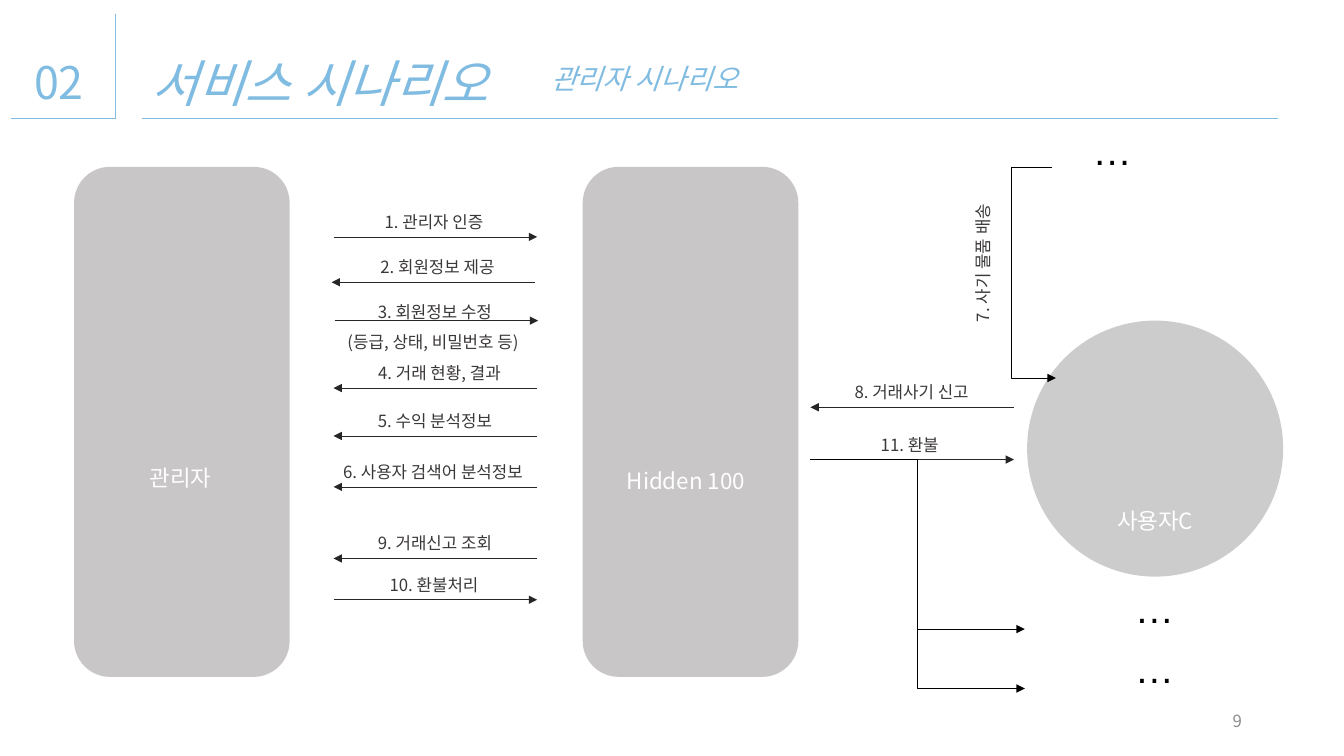
from lxml import etree
from pptx import Presentation
from pptx.dml.color import RGBColor
from pptx.enum.shapes import MSO_CONNECTOR, MSO_SHAPE
from pptx.enum.text import MSO_ANCHOR, MSO_AUTO_SIZE, PP_ALIGN
from pptx.oxml.ns import qn
from pptx.util import Pt

STRAIGHT, ELBOW = MSO_CONNECTOR.STRAIGHT, MSO_CONNECTOR.ELBOW
ROUNDED, OVAL = MSO_SHAPE.ROUNDED_RECTANGLE, MSO_SHAPE.OVAL
LEFT, CENTER, RIGHT = PP_ALIGN.LEFT, PP_ALIGN.CENTER, PP_ALIGN.RIGHT
TOP, MIDDLE = MSO_ANCHOR.TOP, MSO_ANCHOR.MIDDLE
FIT_TEXT, FIXED = MSO_AUTO_SIZE.SHAPE_TO_FIT_TEXT, MSO_AUTO_SIZE.NONE

SKY = RGBColor(0x80, 0xBC, 0xE1)
PANEL = RGBColor(0xC8, 0xC6, 0xC6)
GRAY = RGBColor(0x80, 0x80, 0x80)
PAGE_GRAY = RGBColor(0x8C, 0x8C, 0x8C)
INK = RGBColor(0x3B, 0x38, 0x38)
ARROW = RGBColor(0x26, 0x26, 0x26)
BLACK = RGBColor(0, 0, 0)
WHITE = RGBColor(0xFF, 0xFF, 0xFF)
KOREAN, LATIN = "Noto Sans CJK KR", "Arial"

ARROW_LENGTH = 145.4
LABEL_HEIGHT = 21.6
ADMIN_LEFT, USER_LEFT = 238.3, 578.9

# Message, left end and height of its arrow, points right, label centre, label width
MESSAGES = [
    ("1. 관리자 인증", ADMIN_LEFT, 169.2, True, 310, 180.7),
    ("2. 회원정보 제공", 236.9, 201.6, False, 312.5, 154),
    ("4. 거래 현황, 결과", ADMIN_LEFT, 277.2, False, 313.9, 154),
    ("5. 수익 분석정보", ADMIN_LEFT, 311.4, False, 310.7, 160.6),
    ("6. 사용자 검색어 분석정보 ", ADMIN_LEFT, 347.8, False, 310.7, 160.6),
    ("9. 거래신고 조회", ADMIN_LEFT, 398.9, False, 310.7, 160.6),
    ("10. 환불처리", ADMIN_LEFT, 428.4, True, 310, 180.7),
    ("8. 거래사기 신고", USER_LEFT, 290.9, False, 651.2, 160.6),
    ("11. 환불", USER_LEFT, 328.3, True, 649.8, 160.6),
]


def add_text(slide, text, left, top, width, height, *, size=12, color=INK,
             font=KOREAN, align=CENTER, anchor=TOP, spacing=None, italic=None,
             wrap=True, fit=FIT_TEXT, upward=False):
    box = slide.shapes.add_textbox(Pt(left), Pt(top), Pt(width), Pt(height))
    frame = box.text_frame
    frame.word_wrap = wrap
    frame.auto_size = fit
    frame.vertical_anchor = anchor
    if upward:
        frame._txBody.bodyPr.set("vert", "vert270")
    frame.text = text
    for paragraph in frame.paragraphs:
        paragraph.alignment = align
        if spacing:
            paragraph.line_spacing = spacing
        for run in paragraph.runs:
            run.font.size = Pt(size)
            run.font.name = font
            run.font.italic = italic
            run.font.color.rgb = color
            east_asian = etree.SubElement(run.font._element, qn("a:ea"))
            east_asian.set("typeface", font)


def add_actor(slide, kind, left, top, width, height, color, opacity=None):
    actor = slide.shapes.add_shape(kind, Pt(left), Pt(top), Pt(width), Pt(height))
    actor.shadow.inherit = False
    actor.fill.solid()
    actor.fill.fore_color.rgb = color
    actor.line.fill.background()
    if opacity:
        fill_color = actor._element.spPr.find(".//" + qn("a:srgbClr"))
        etree.SubElement(fill_color, qn("a:alpha")).set("val", str(opacity * 1000))


def add_line(slide, x1, y1, x2, y2, color, *, arrow=True, kind=STRAIGHT, bend_x=None):
    line = slide.shapes.add_connector(kind, Pt(x1), Pt(y1), Pt(x2), Pt(y2))
    line.line.color.rgb = color
    line.line.width = Pt(0.5)
    properties = line._element.spPr
    if arrow:
        etree.SubElement(line.line._get_or_add_ln(), qn("a:tailEnd")).set("type", "triangle")
    etree.SubElement(properties, qn("a:effectLst"))
    if bend_x is not None:
        share = round((bend_x - x1) / (x2 - x1) * 100000)
        guides = properties.find(".//" + qn("a:avLst"))
        guide = etree.SubElement(guides, qn("a:gd"))
        guide.set("name", "adj1")
        guide.set("fmla", f"val {share}")


def add_message(slide, text, left, y, to_right, label_center, label_width):
    ends = (left, left + ARROW_LENGTH)
    start, end = ends if to_right else ends[::-1]
    add_line(slide, start, y, end, y, ARROW)
    add_text(slide, text, label_center - label_width / 2, y - LABEL_HEIGHT,
             label_width, LABEL_HEIGHT)


def add_header(slide):
    add_line(slide, 7.9, 84.5, 82.8, 84.5, SKY, arrow=False)
    add_line(slide, 82.3, 10.1, 82.3, 85, SKY, arrow=False)
    add_line(slide, 101.5, 84.5, 913, 84.5, SKY, arrow=False)
    add_text(slide, "02", 17.3, 16.6, 56.2, 60.5, size=32, color=SKY,
             align=LEFT, spacing=1.5, wrap=False)
    add_text(slide, "서비스 시나리오", 101.5, 12.2, 319.7, 67, size=36, color=SKY,
             align=LEFT, spacing=1.5, italic=True)
    add_text(slide, "관리자 시나리오", 386.6, 40.3, 196.6, 31.7, size=20, color=SKY,
             align=LEFT, italic=True)


def main():
    deck = Presentation()
    deck.slide_width, deck.slide_height = Pt(960), Pt(540)
    slide = deck.slides.add_slide(deck.slide_layouts[6])

    add_header(slide)

    # Actors
    for left in (52.9, 416.2):
        add_actor(slide, ROUNDED, left, 119.2, 154, 364.3, PANEL)
    add_actor(slide, OVAL, 733.7, 229, 182.9, 182.9, GRAY, opacity=40)
    add_text(slide, "관리자", 92.2, 328.3, 73.4, 26.6, size=16, color=WHITE)
    add_text(slide, "Hidden 100", 432.7, 329.8, 114.5, 31.7, size=16, color=WHITE)
    add_text(slide, "사용자C", 788.4, 358.6, 73.4, 26.6, size=16, color=WHITE)

    # Messages between the actors
    for message in MESSAGES:
        add_message(slide, *message)

    # Message 3 has a second line below its arrow
    add_line(slide, 239, 229, 239 + ARROW_LENGTH, 229, ARROW)
    add_text(slide, "3. 회원정보 수정\n(등급, 상태, 비밀번호 등) ",
             220.3, 204.5, 180.7, 49, spacing=1.5)

    # Refund branches to the other users
    for y in (449.3, 491.8):
        add_line(slide, USER_LEFT, 328.3, 732, y, BLACK, kind=ELBOW)

    # Fraudulent delivery
    add_line(slide, 751.7, 119.5, 754.2, 270, BLACK, kind=ELBOW, bend_x=722.2)
    add_text(slide, "7. 사기 물품 배송", 691.2, 119.5, 28.8, 136.8, upward=True)

    # Further users
    for left, top in ((773.3, 86.4), (803.5, 414), (803.5, 456.5)):
        add_text(slide, "…", left, top, 42.5, 41, size=28, color=BLACK,
                 font=LATIN, align=LEFT, wrap=False)

    # Page number
    add_text(slide, "9", 678.2, 500.4, 216, 28.8, color=PAGE_GRAY,
             align=RIGHT, anchor=MIDDLE, fit=FIXED)

    deck.save("out.pptx")


if __name__ == "__main__":
    main()
